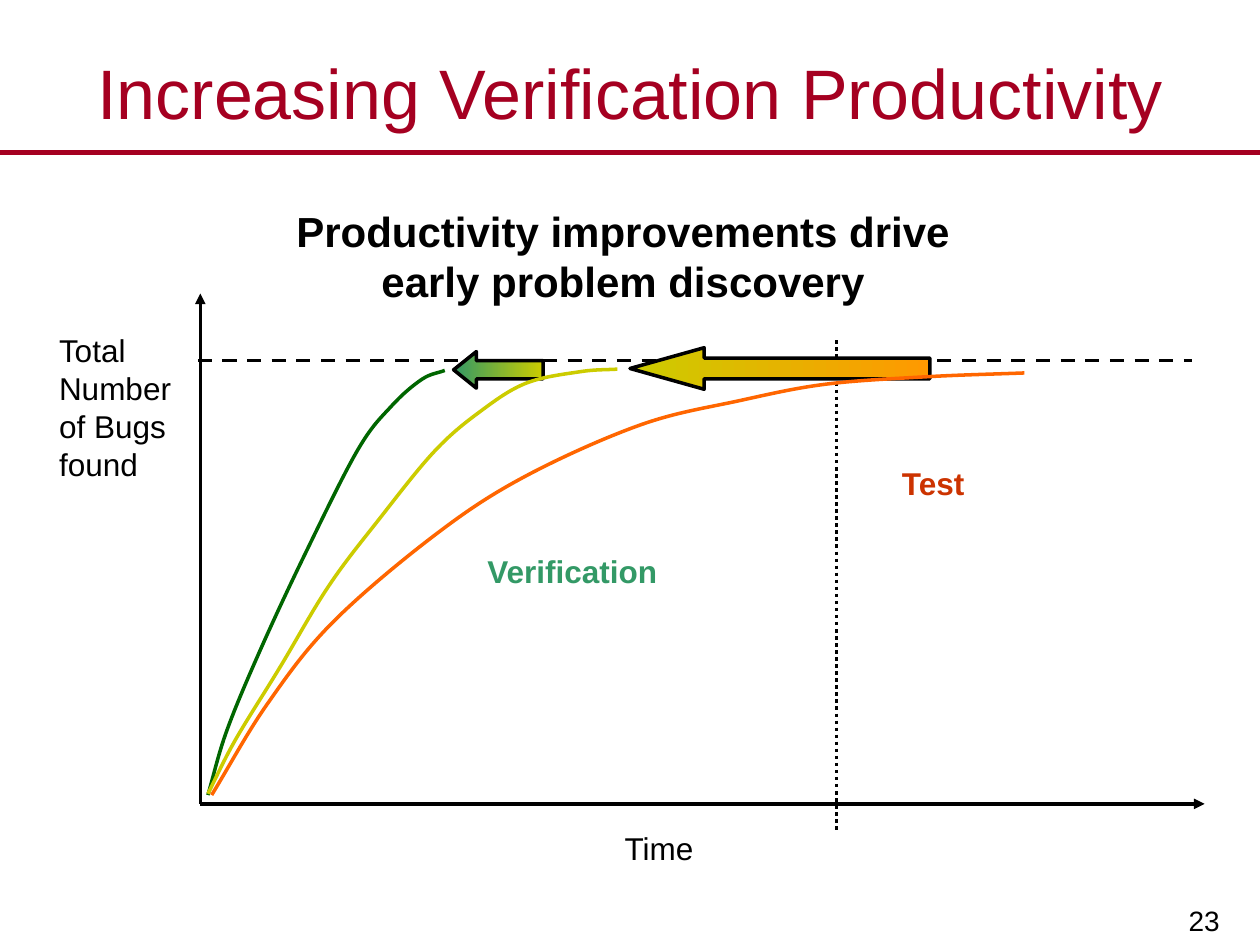
from dataclasses import dataclass
from lxml import etree
from pptx import Presentation
from pptx import util as u
from pptx.dml.color import RGBColor
from pptx.enum import dml, shapes, text
from pptx.oxml import ns


@dataclass(frozen=True)
class Theme:
    font: str = "Arial"
    ink: str = "000000"
    brand: str = "A50021"
    test: str = "CC3300"
    verify: str = "339966"
    fast: str = "006600"
    medium: str = "CCCC00"
    slow: str = "FF6600"
    late: str = "FF9900"
    title: int = 40
    heading: int = 24
    body: int = 18
    number: int = 16
    stroke: int = 2
    rule: int = 3


T = Theme()
TITLE = "Increasing Verification Productivity"

LABELS = [
    (["23"], (7.8, 6.93, 1.99, 0.57),
     dict(size=T.number, align="RIGHT", anchor="BOTTOM", margins=(0.11, 0.06))),
    (["Time"], (4.86, 6.53, 0.76, 0.4), dict(wrap=False, grow=True)),
    (["Total", "Number", "of Bugs", "found"], (0.37, 2.58, 1.41, 1.3), dict(grow=True)),
    (["Test"], (7.06, 3.63, 0.72, 0.4),
     dict(color=T.test, bold=True, wrap=False, grow=True)),
    (["Verification"], (3.77, 4.33, 1.63, 0.4),
     dict(color=T.verify, bold=True, wrap=False, grow=True)),
    (["Productivity improvements drive", "early problem discovery"], (2.25, 1.58, 5.39, 0.9),
     dict(size=T.heading, bold=True, align="CENTER", wrap=False, grow=True)),
]

ORIGIN = (1.59, 6.38)
LINES = [
    ((0, 1.21), (10, 1.21), dict(color=T.brand, width=T.rule)),
    (ORIGIN, (1.59, 2.33), dict(arrow=True)),
    (ORIGIN, (9.56, 6.38), dict(arrow=True)),
    ((1.57, 2.86), (9.46, 2.86), dict(dash="DASH")),
    ((6.64, 2.7), (6.64, 6.59), dict(dash="ROUND_DOT")),
]

SHIFTS = [
    ((5, 2.76, 2.38, 0.33), 1.785, (T.medium, T.late)),
    ((3.6, 2.79, 0.71, 0.29), 0.623, (T.verify, T.medium)),
]

CURVES = [
    (T.fast, [(1.65, 6.31), (1.8, 5.8), (2.07, 5.15), (2.42, 4.4), (2.84, 3.57),
              (3.11, 3.22), (3.35, 3.01), (3.53, 2.94)]),
    (T.medium, [(1.65, 6.3), (1.87, 5.87), (2.22, 5.3), (2.61, 4.65), (3.01, 4.12),
                (3.45, 3.58), (3.82, 3.26), (4.18, 3.04), (4.61, 2.95), (4.9, 2.93)]),
    (T.slow, [(1.68, 6.31), (2.12, 5.59), (2.64, 4.94), (3.46, 4.24), (4.17, 3.78),
              (5.09, 3.37), (5.87, 3.18), (6.55, 3.05), (7.36, 2.99), (8.13, 2.96)]),
]


def inches(values):
    return [u.Inches(v) for v in values]


def write(sp, lines, size=T.body, color=T.ink, bold=False, align="LEFT", anchor="TOP",
          wrap=True, grow=False, margins=(0.1, 0.05)):
    tf = sp.text_frame
    tf.word_wrap = wrap
    tf.auto_size = text.MSO_AUTO_SIZE.SHAPE_TO_FIT_TEXT if grow else text.MSO_AUTO_SIZE.NONE
    tf.vertical_anchor = text.MSO_ANCHOR[anchor]
    tf.margin_left = tf.margin_right = u.Inches(margins[0])
    tf.margin_top = tf.margin_bottom = u.Inches(margins[1])
    for i, line in enumerate(lines):
        p = tf.add_paragraph() if i else tf.paragraphs[0]
        p.alignment = text.PP_ALIGN[align]
        r = p.add_run()
        r.text = line
        r.font.name, r.font.size, r.font.bold = T.font, u.Pt(size), bold
        r.font.color.rgb = RGBColor.from_string(color)


def stroke(sp, color=T.ink, width=T.stroke):
    sp.line.color.rgb = RGBColor.from_string(color)
    sp.line.width = u.Pt(width)


def add_line(s, start, end, dash=None, arrow=False, **look):
    sp = s.shapes.add_connector(shapes.MSO_CONNECTOR.STRAIGHT, *inches(start + end))
    stroke(sp, **look)
    if dash:
        sp.line.dash_style = dml.MSO_LINE[dash]
    if arrow:
        etree.SubElement(sp.line._get_or_add_ln(), ns.qn("a:tailEnd"), type="triangle")
    etree.SubElement(sp._element.spPr, ns.qn("a:effectLst"))


def add_shift(s, box, head, colors):
    sp = s.shapes.add_shape(shapes.MSO_SHAPE.LEFT_ARROW, *inches(box))
    sp.shadow.inherit = False
    sp.adjustments[0], sp.adjustments[1] = 0.5, head
    sp.fill.gradient()
    sp.fill.gradient_angle = 0
    for stop, color in zip(sp.fill.gradient_stops, colors):
        stop.color.rgb = RGBColor.from_string(color)
    stroke(sp)


def smooth(sp):
    pts = [(int(e.get("x")), int(e.get("y"))) for e in sp._element.xpath(".//a:path/*/a:pt")]
    last = len(pts) - 1

    def tangent(i):
        a, b = max(i - 1, 0), min(i + 1, last)
        return [(q - p) / (3 * (b - a)) for p, q in zip(pts[a], pts[b])]

    for i, seg in enumerate(sp._element.xpath(".//a:path/a:lnTo")):
        out = [p + t for p, t in zip(pts[i], tangent(i))]
        back = [p - t for p, t in zip(pts[i + 1], tangent(i + 1))]
        bez = etree.Element(ns.qn("a:cubicBezTo"))
        for x, y in (out, back, pts[i + 1]):
            etree.SubElement(bez, ns.qn("a:pt"), x=str(round(x)), y=str(round(y)))
        seg.getparent().replace(seg, bez)


def add_curve(s, color, points):
    start, *rest = [tuple(inches(pt)) for pt in points]
    fb = s.shapes.build_freeform(*start)
    fb.add_line_segments(rest, close=False)
    sp = fb.convert_to_shape()
    sp.shadow.inherit = False
    sp.fill.background()
    stroke(sp, color)
    smooth(sp)


def main():
    prs = Presentation()
    prs.slide_width, prs.slide_height = inches((10, 7.5))
    s = prs.slides.add_slide(prs.slide_layouts[5])
    title = s.shapes.title
    title.left, title.top, title.width, title.height = inches((0, 0.3, 10, 0.86))
    write(title, [TITLE], size=T.title, color=T.brand, align="CENTER", anchor="MIDDLE")
    for start, end, look in LINES:
        add_line(s, start, end, **look)
    for lines, box, look in LABELS:
        write(s.shapes.add_textbox(*inches(box)), lines, **look)
    for shift in SHIFTS:
        add_shift(s, *shift)
    for color, points in CURVES:
        add_curve(s, color, points)
    prs.save("out.pptx")


if __name__ == "__main__":
    main()
